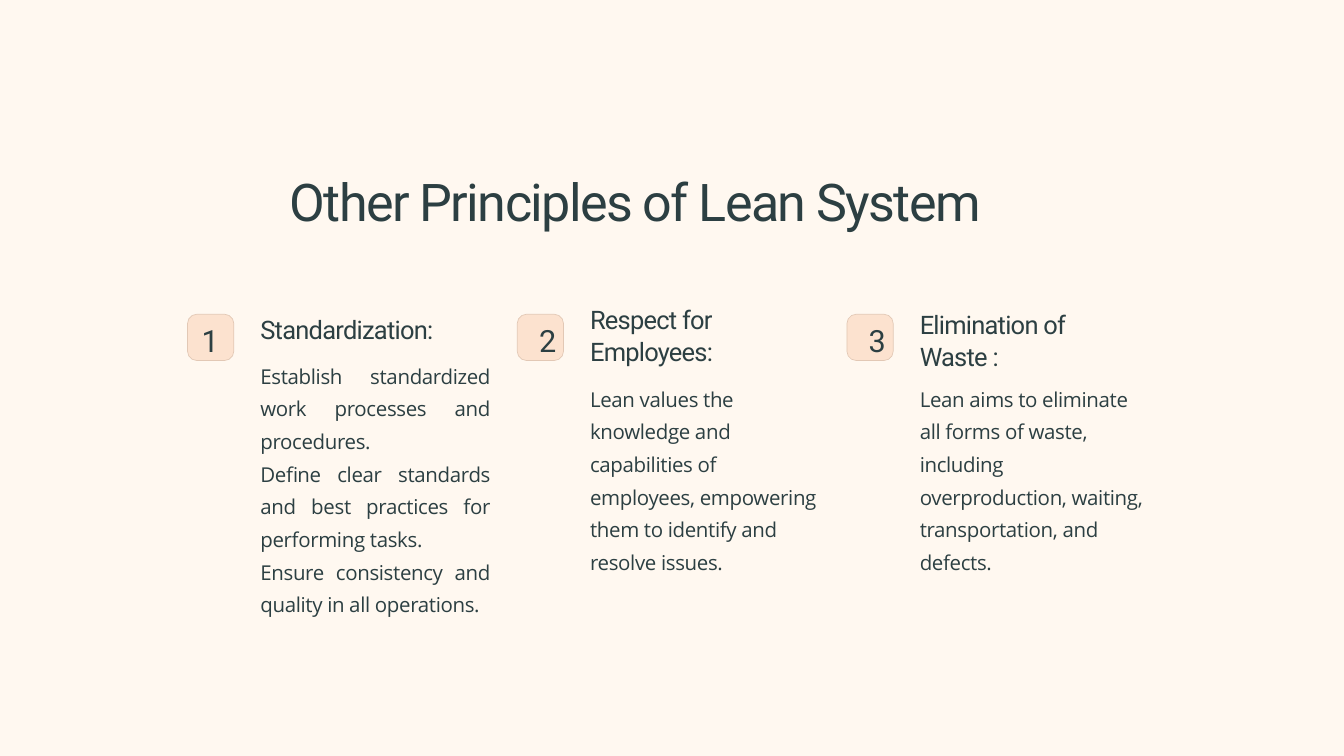
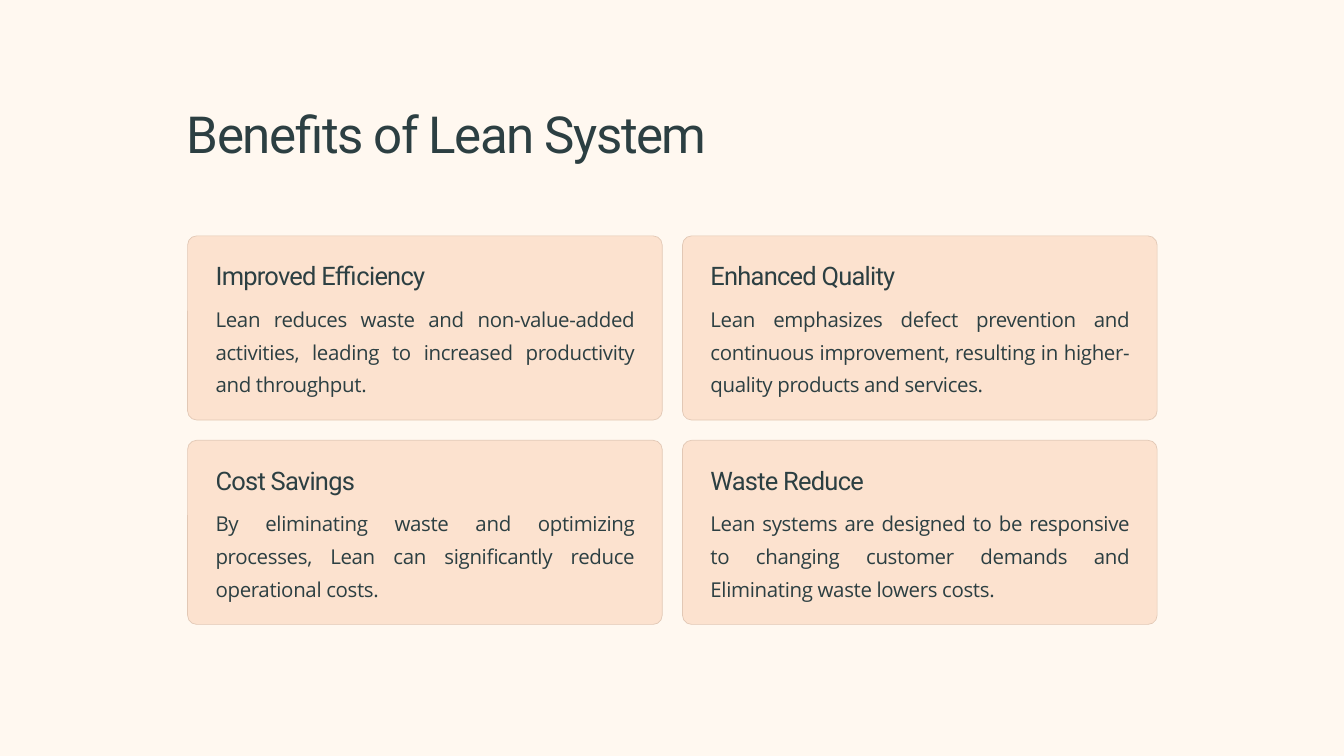
import dataclasses

import pptx
import pptx.dml.color
import pptx.enum.shapes
import pptx.enum.text
import pptx.util

PX = 9525
WIDE, HIGH = 1920, 1080
ALIGN = pptx.enum.text.PP_ALIGN
color = pptx.dml.color.RGBColor.from_string


@dataclasses.dataclass(frozen=True)
class Style:
    """Type size, line pitch and letter spacing, all in points."""
    font: str
    size: float
    pitch: float
    track: float


@dataclasses.dataclass(frozen=True)
class Theme:
    ground: str = "FFF8F0"
    panel: str = "FCE2CF"
    edge: str = "E2C8B5"
    ink: str = "2C3F42"
    wide: Style = Style("Roboto", 55.7, 69.6, -1.7)
    title: Style = Style("Roboto", 54.7, 68.3, -1.6)
    head: Style = Style("Roboto", 27.3, 34.2, -0.8)
    body: Style = Style("Open Sans", 21.9, 35, -0.4)
    digit: Style = Style("Roboto", 32.8, 41, -1)


THEME = Theme()

# Badge digit inset, heading top, body top and height, body alignment, texts
STEPS = [
    (20, 447, 508, 502, ALIGN.JUSTIFY, "Standardization:", [
        "Establish standardized work processes and procedures.",
        "Define clear standards and best practices for performing tasks.",
        "Ensure consistency and quality in all operations."]),
    (31, 432, 541, 273, ALIGN.LEFT, "Respect for Employees:", [
        "Lean values the knowledge and capabilities of employees, "
        "empowering them to identify and resolve issues."]),
    (31, 440, 541, 231, ALIGN.LEFT, "Elimination of Waste :", [
        "Lean aims to eliminate all forms of waste, including "
        "overproduction, waiting, transportation, and defects."]),
]

GAINS = [
    ("Improved Efficiency",
     "Lean reduces waste and non-value-added activities, leading to "
     "increased productivity and throughput."),
    ("Enhanced Quality",
     "Lean emphasizes defect prevention and continuous improvement, "
     "resulting in higher-quality products and services."),
    ("Cost Savings",
     "By eliminating waste and optimizing processes, Lean can "
     "significantly reduce operational costs."),
    ("Waste Reduce",
     "Lean systems are designed to be responsive to changing customer "
     "demands and Eliminating waste lowers costs."),
]


def scale(box):
    return [pptx.util.Emu(n * PX) for n in box]


def write(frame, lines, style, align=ALIGN.LEFT):
    """Fill a text frame with one paragraph per line."""
    frame.word_wrap = True
    frame.auto_size = pptx.enum.text.MSO_AUTO_SIZE.NONE
    frame.vertical_anchor = pptx.enum.text.MSO_ANCHOR.TOP
    frame.margin_left = frame.margin_right = 0
    frame.margin_top = frame.margin_bottom = 0
    for i, line in enumerate(lines):
        para = frame.add_paragraph() if i else frame.paragraphs[0]
        para.alignment = align
        para.line_spacing = pptx.util.Pt(style.pitch)
        run = para.add_run()
        run.text = line
        run.font.name = style.font
        run.font.size = pptx.util.Pt(style.size)
        run.font.color.rgb = color(THEME.ink)
        run._r.get_or_add_rPr().set("spc", str(round(style.track * 100)))


def label(slide, box, lines, style, **form):
    shape = slide.shapes.add_textbox(*scale(box))
    write(shape.text_frame, lines, style, **form)


def panel(slide, box, radius=13):
    kind = pptx.enum.shapes.MSO_SHAPE.ROUNDED_RECTANGLE
    shape = slide.shapes.add_shape(kind, *scale(box))
    shape.adjustments[0] = radius / min(box[2:])
    shape.shadow.inherit = False
    shape.fill.solid()
    shape.fill.fore_color.rgb = color(THEME.panel)
    shape.line.color.rgb = color(THEME.edge)
    shape.line.width = pptx.util.Pt(0.75)


def start(deck, title, box, style, **form):
    """Add a slide with its title."""
    slide = deck.slides.add_slide(deck.slide_layouts.get_by_name("Title Only"))
    shape = slide.shapes.title
    shape.left, shape.top, shape.width, shape.height = scale(box)
    write(shape.text_frame, [title], style, **form)
    return slide


def step(slide, x, num, inset, top, low, high, align, head, lines):
    """Draw a numbered column whose left edge is x."""
    panel(slide, (x, 449, 66, 66))
    label(slide, (x + inset, 457, 24, 55), [str(num)], THEME.digit,
          align=ALIGN.CENTER)
    label(slide, (x + 104, top, 328, 90), [head], THEME.head)
    label(slide, (x + 104, low, 328, high), lines, THEME.body, align=align)


def card(slide, box, head, line):
    x, y, wide, _ = box
    pad = 40
    panel(slide, box)
    label(slide, (x + pad, y + 33, 346, 38), [head], THEME.head)
    label(slide, (x + pad, y + 90, wide - 2 * pad, 134), [line], THEME.body,
          align=ALIGN.JUSTIFY)


def steps(deck):
    slide = start(deck, "Other Principles of Lean System",
                  (171, 238, 1473, 90), THEME.wide, align=ALIGN.CENTER)
    for i, data in enumerate(STEPS):
        step(slide, 268 + 471 * i, i + 1, *data)


def gains(deck):
    slide = start(deck, "Benefits of Lean System",
                  (267, 143, 878, 90), THEME.title)
    wide, high, gap = 678, 263, 29
    for i, data in enumerate(GAINS):
        row, col = divmod(i, 2)
        box = (268 + col * (wide + gap), 337 + row * (high + gap), wide, high)
        card(slide, box, *data)


def main():
    deck = pptx.Presentation()
    deck.slide_width, deck.slide_height = scale((WIDE, HIGH))
    fill = deck.slide_master.background.fill
    fill.solid()
    fill.fore_color.rgb = color(THEME.ground)
    steps(deck)
    gains(deck)
    deck.save("out.pptx")


if __name__ == "__main__":
    main()
